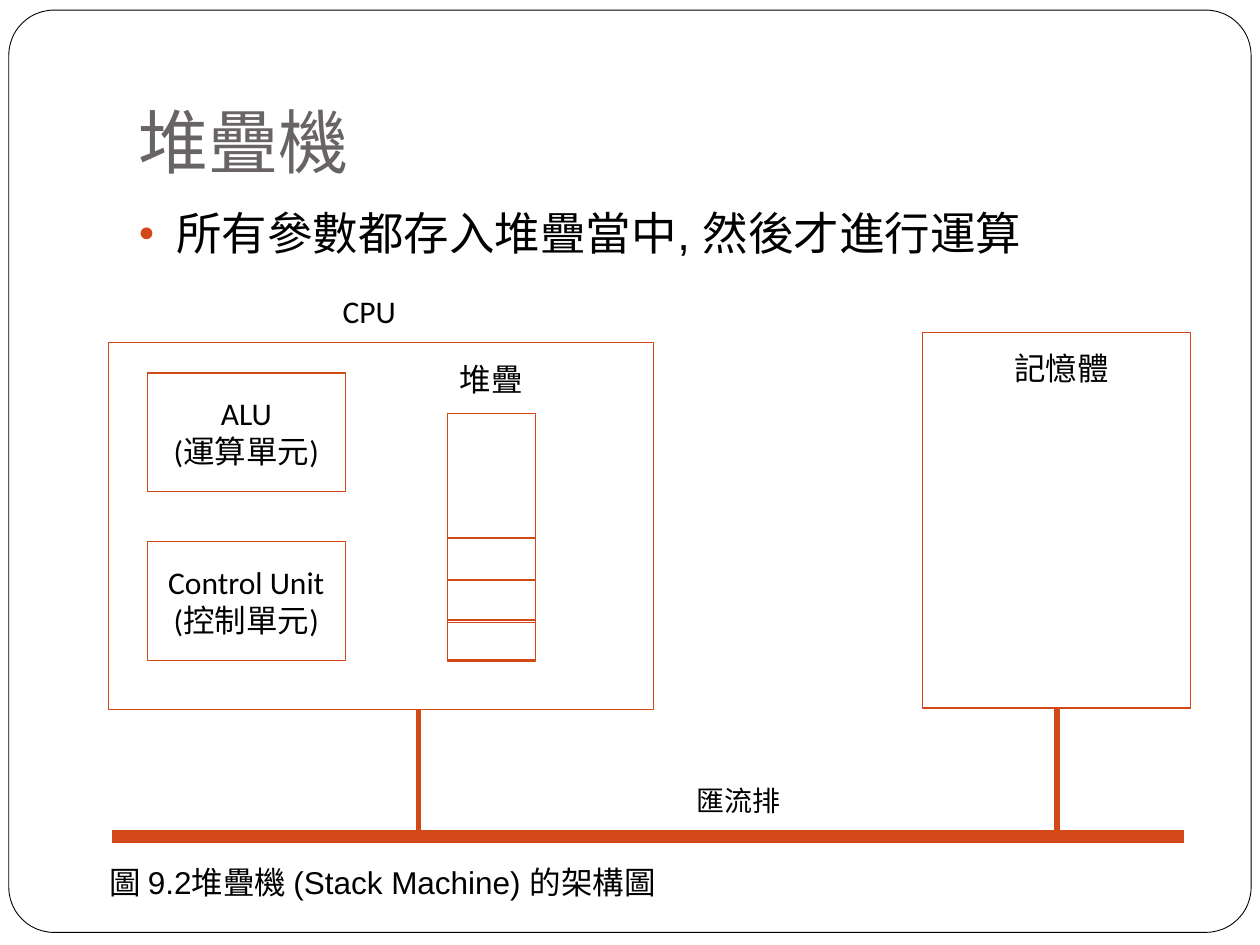
import pptx
import pptx.util
from pptx.dml.color import RGBColor
from pptx.enum.shapes import MSO_CONNECTOR, MSO_SHAPE
from pptx.enum.text import MSO_ANCHOR, MSO_AUTO_SIZE, PP_ALIGN
from pptx.oxml.ns import qn
from lxml import etree

Inches = pptx.util.Inches
Pt = pptx.util.Pt

ORANGE = RGBColor(0xD3, 0x48, 0x17)
GREY = RGBColor(0x69, 0x64, 0x64)
BLACK = RGBColor(0, 0, 0)
WHITE = RGBColor(0xFF, 0xFF, 0xFF)

TITLE = "堆疊機"
BULLET = "所有參數都存入堆疊當中, 然後才進行運算"

CPU = (0.86, 2.72, 4.33, 2.91)
MEMORY = (7.32, 2.64, 2.13, 2.98)
STACK = (3.55, 3.28, 0.7, 1.96)
UNIT_LEFT, UNIT_WIDTH, UNIT_HEIGHT = 1.17, 1.57, 0.94
UNITS = [
    (2.96, ["ALU", "(運算單元)"]),
    (4.3, ["Control Unit", "(控制單元)"]),
]
CELL_HEIGHT = 0.33
CELL_TOPS = [4.92, 4.61, 4.27]

LABELS = [
    ("記憶體", (7.95, 2.72, 0.95, 0.4), {}),
    ("匯流排", (5.43, 6.17, 0.9, 0.37), {"size": 16}),
    ("堆疊", (3.55, 2.81, 0.7, 0.4), {"align": PP_ALIGN.CENTER}),
    ("CPU", (2.62, 2.27, 0.62, 0.4), {"align": PP_ALIGN.CENTER}),
    ("圖 9.2堆疊機 (Stack Machine) 的架構圖", (0.77, 6.8, 4.78, 0.4), {"font": "Arial"}),
]

BUS_Y = 6.64
BUS_LEFT, BUS_RIGHT = 0.89, 9.4
BUS_DROPS = [3.32, 8.39]
DROP_TOP = 5.63


def write_text(frame, lines, *, size=18, font="Calibri", color=BLACK,
               align=PP_ALIGN.LEFT, anchor=MSO_ANCHOR.TOP, wrap=False, bullet=None):
    frame.word_wrap = wrap
    frame.vertical_anchor = anchor
    for index, line in enumerate(lines):
        paragraph = frame.paragraphs[0] if index == 0 else frame.add_paragraph()
        paragraph.text = line
        paragraph.alignment = align
        if bullet:
            add_bullet(paragraph, bullet)
        paragraph.font.size = Pt(size)
        paragraph.font.name = font
        paragraph.font.color.rgb = color


def add_bullet(paragraph, character):
    properties = paragraph._p.get_or_add_pPr()
    properties.set("marL", str(Inches(0.3)))
    properties.set("indent", str(Inches(-0.3)))
    color = etree.SubElement(properties, qn("a:buClr"))
    etree.SubElement(color, qn("a:srgbClr"), val=str(ORANGE))
    etree.SubElement(properties, qn("a:buSzPct"), val="60000")
    etree.SubElement(properties, qn("a:buFont"), typeface="Arial")
    etree.SubElement(properties, qn("a:buChar"), char=character)


def add_box(slide, box, *, kind=MSO_SHAPE.RECTANGLE, fill=None, line=ORANGE, width=0.75):
    shape = slide.shapes.add_shape(kind, *map(Inches, box))
    shape.shadow.inherit = False
    if fill is None:
        shape.fill.background()
    else:
        shape.fill.solid()
        shape.fill.fore_color.rgb = fill
    shape.line.color.rgb = line
    shape.line.width = Pt(width)
    return shape


def add_label(slide, lines, box, *, grow=True, **text_format):
    shape = slide.shapes.add_textbox(*map(Inches, box))
    write_text(shape.text_frame, lines, **text_format)
    if grow:
        shape.text_frame.auto_size = MSO_AUTO_SIZE.SHAPE_TO_FIT_TEXT


def add_line(slide, start, end, width):
    connector = slide.shapes.add_connector(
        MSO_CONNECTOR.STRAIGHT, *map(Inches, start + end))
    connector.line.color.rgb = ORANGE
    connector.line.width = Pt(width)
    etree.SubElement(connector._element.spPr, qn("a:effectLst"))


def main():
    presentation = pptx.Presentation()
    presentation.slide_width = Inches(10)
    presentation.slide_height = Inches(7.5)
    slide = presentation.slides.add_slide(presentation.slide_layouts[5])

    frame = add_box(slide, (0.07, 0.08, 9.86, 7.32), kind=MSO_SHAPE.ROUNDED_RECTANGLE,
                    fill=WHITE, line=BLACK, width=0.5)
    frame.adjustments[0] = 0.049
    slide.shapes._spTree.insert(2, frame._element)

    title = slide.shapes.title
    title.left, title.top, title.width, title.height = map(Inches, (1, 0.3, 8.5, 1.25))
    title.text_frame.margin_bottom = Inches(0.1)
    write_text(title.text_frame, [TITLE], size=40, font="Roboto", color=GREY,
               anchor=MSO_ANCHOR.BOTTOM, wrap=True)
    add_label(slide, [BULLET], (1, 1.58, 8.5, 5), grow=False, size=26, font="Arial",
              wrap=True, bullet="●")

    for box in (CPU, MEMORY, STACK):
        add_box(slide, box)
    for top, lines in UNITS:
        unit = add_box(slide, (UNIT_LEFT, top, UNIT_WIDTH, UNIT_HEIGHT))
        write_text(unit.text_frame, lines, align=PP_ALIGN.CENTER, anchor=MSO_ANCHOR.MIDDLE)
    for top in CELL_TOPS:
        add_box(slide, (STACK[0], top, STACK[2], CELL_HEIGHT))

    add_line(slide, (BUS_LEFT, BUS_Y), (BUS_RIGHT, BUS_Y), 7)
    for x in BUS_DROPS:
        add_line(slide, (x, DROP_TOP), (x, BUS_Y), 3)
    for text, box, text_format in LABELS:
        add_label(slide, [text], box, **text_format)

    presentation.save("out.pptx")


if __name__ == "__main__":
    main()
